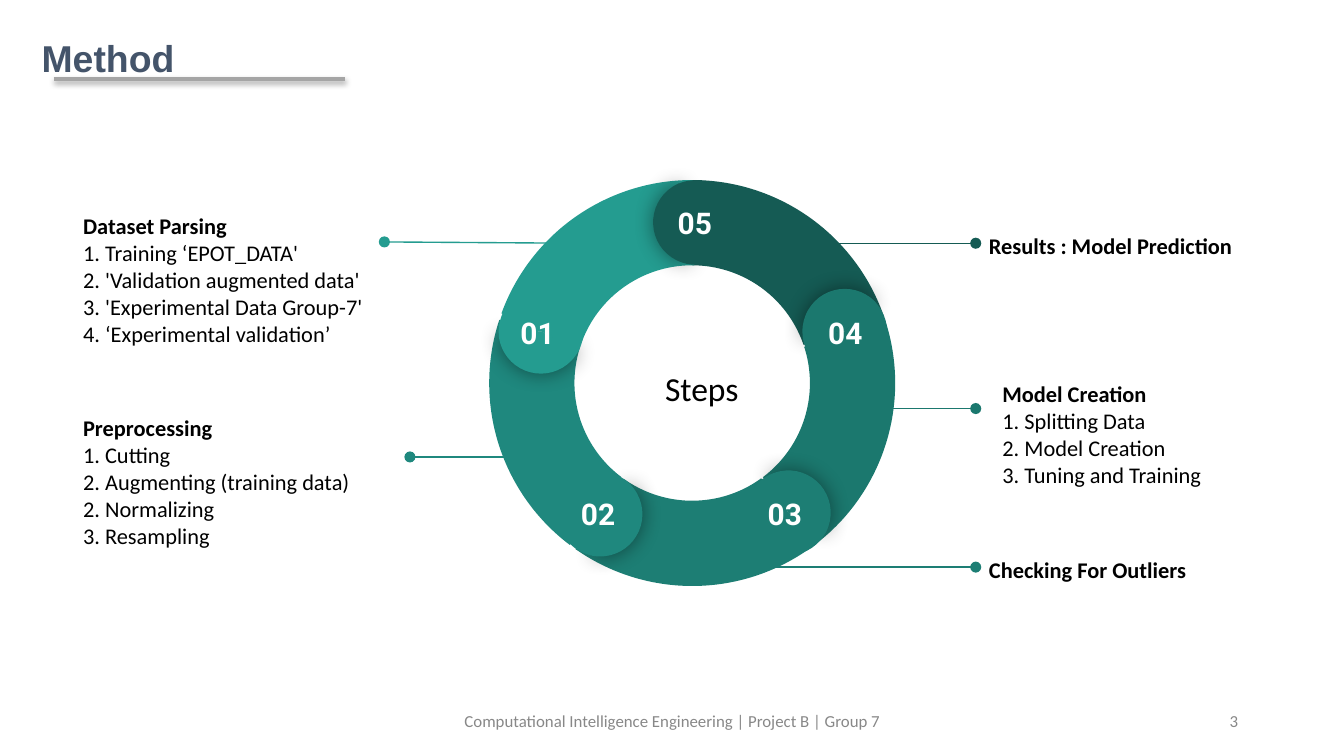
"""Build the Method slide: a ring of five steps with callouts."""
import lxml.etree
import pptx
import pptx.dml.color
import pptx.enum.shapes
import pptx.enum.text
import pptx.oxml.ns
import pptx.util

Inches = pptx.util.Inches
Pt = pptx.util.Pt
Kind = pptx.enum.shapes.MSO_SHAPE
Align = pptx.enum.text.PP_ALIGN
Anchor = pptx.enum.text.MSO_ANCHOR
qn = pptx.oxml.ns.qn

TITLE = {"name": "Arial", "size": Pt(20), "bold": True}
HEAD = {"name": "Calibri", "size": Pt(12), "bold": True}
BODY = {"name": "Calibri", "size": Pt(12), "bold": False}
FOOT = {"name": "Calibri", "size": Pt(9)}
HUB = {"name": "Calibri", "size": Pt(18)}
DIGIT = {"name": "Roboto", "size": Pt(16), "bold": True}

RING = (3.64, 1.34, 3.02)
CAP = 0.63
# number, color, arc turn, cap turn, cap place, label place
STEPS = [
    ("02", "1F887E", 277, 211.1, (4.15, 3.51), (4.17, 3.59)),
    ("04", "1B786E", 132, 67.1, (5.97, 2.15), (6.01, 2.24)),
    ("05", "155B54", 60, 357.1, (4.86, 1.34), (4.89, 1.42)),
    ("03", "1D7E74", 204, 139.1, (5.55, 3.5), (5.56, 3.59)),
    ("01", "249C90", 350, 284.1, (3.71, 2.15), (3.72, 2.24)),
]
# color, line start, line end, box, head spacing, joined, lines
NOTES = [
    ("249C90", (4.3, 1.81), (2.86, 1.8), (0.52, 1.56, 2.52, 1.01), 1.15, False,
     ["Dataset Parsing", "1. Training ‘EPOT_DATA'",
      "2. 'Validation augmented data'", "3. 'Experimental Data Group-7'",
      "4. ‘Experimental validation’"]),
    ("1F887E", (4.06, 3.4), (3.05, 3.4), (0.52, 3.08, 2.74, 1.01), 1, False,
     ["Preprocessing", "1. Cutting", "2. Augmenting (training data)",
      "2. Normalizing", "3. Resampling"]),
    ("1D7E74", (5.25, 4.22), (7.26, 4.22), (7.26, 4, 2.32, 0.44), 1.15, True,
     ["Checking For Outliers"]),
    ("155B54", (5.85, 1.81), (7.26, 1.81), (7.26, 1.49, 2.47, 0.64), 1.15, True,
     ["Results : Model Prediction"]),
    ("1B786E", (6.29, 3.04), (7.26, 3.04), (7.36, 2.71, 2.32, 1.01), 1.15, False,
     ["Model Creation", "1. Splitting Data", "2. Model Creation",
      "3. Tuning and Training"]),
]


def color(code):
    return pptx.dml.color.RGBColor.from_string(code)


def shade(shape, alpha=0, blur=0, dist=0, turn=0):
    node = lxml.etree.SubElement(shape._element.spPr, qn("a:effectLst"))
    if alpha:
        drop = lxml.etree.SubElement(
            node, qn("a:outerShdw"), blurRad=str(Pt(blur)), dist=str(Pt(dist)),
            dir=str(turn * 60000), algn="ctr", rotWithShape="0")
        tint = lxml.etree.SubElement(drop, qn("a:srgbClr"), val="000000")
        lxml.etree.SubElement(tint, qn("a:alpha"), val=str(alpha * 1000))


def text(slide, box, lines, ink, pads=(0.1, 0.1), anchor=Anchor.TOP,
         align=Align.LEFT, lead=1, wrap=True):
    shape = slide.shapes.add_textbox(*map(Inches, box))
    frame = shape.text_frame
    side, edge = map(Inches, pads)
    form = {"word_wrap": wrap, "vertical_anchor": anchor,
            "margin_left": side, "margin_right": side,
            "margin_top": edge, "margin_bottom": edge}
    for key, value in form.items():
        setattr(frame, key, value)
    for i, (words, font) in enumerate(lines):
        para = frame.add_paragraph() if i else frame.paragraphs[0]
        para.alignment = align
        para.line_spacing = 1.0 if i else lead
        run = para.add_run()
        run.text = words
        for key, value in font.items():
            setattr(run.font, key, value)
        run.font.color.rgb = color(ink)
    return shape


def line(slide, start, end, ink, width):
    link = slide.shapes.add_connector(
        pptx.enum.shapes.MSO_CONNECTOR.STRAIGHT, *map(Inches, start + end))
    link.line.color.rgb = color(ink)
    link.line.width = Pt(width)
    return link


def wedge(slide, kind, box, turn, ink, adjust, *glow):
    shape = slide.shapes.add_shape(kind, *map(Inches, box))
    shape.rotation = turn % 360
    for i, value in enumerate(adjust):
        shape.adjustments[i] = value
    shape.fill.solid()
    shape.fill.fore_color.rgb = color(ink)
    shape.line.fill.background()
    shade(shape, *glow)


def note(slide, ink, start, end, box, lead, joined, lines):
    rows = [(words, BODY if i else HEAD) for i, words in enumerate(lines)]
    shape = text(slide, box, rows, "000000", anchor=Anchor.MIDDLE, lead=lead)
    link = line(slide, start, end, ink, 0.75)
    if joined:
        link.end_connect(shape, 1)
    lxml.etree.SubElement(link.line._get_or_add_ln(), qn("a:tailEnd"), type="oval")
    shade(link)


def ring(slide):
    left, top, size = RING
    for _, ink, turn, _, _, _ in STEPS:
        wedge(slide, Kind.BLOCK_ARC, (left, top, size, size), turn, ink,
              (126.03, 168.68, 0.21))
    for _, ink, _, turn, spot, _ in STEPS:
        box = spot + (CAP, CAP)
        wedge(slide, Kind.PIE, box, turn, ink, (61.9, 149.96), 43, 11.2)
        wedge(slide, Kind.PIE, box, turn + 179.3, ink, (40.28, 171.84))
    for label, _, _, _, _, spot in STEPS:
        text(slide, spot + (0.56, 0.29), [(label, DIGIT)], "FFFFFF",
             align=Align.CENTER)


def main():
    deck = pptx.Presentation()
    deck.slide_width = Inches(10)
    deck.slide_height = deck.slide_width * 9 // 16
    slide = deck.slides.add_slide(deck.slide_layouts[6])
    text(slide, (0.31, 0.15, 9.37, 0.45), [("Method", TITLE)], "44546A",
         (0, 0), Anchor.BOTTOM, lead=0.9)
    for item in NOTES:
        note(slide, *item)
    ring(slide)
    text(slide, (4.85, 2.64, 0.76, 0.44), [("Steps", HUB)], "000000", wrap=False)
    text(slide, (3.31, 5.21, 3.38, 0.3),
         [("Computational Intelligence Engineering | Project B | Group 7", FOOT)],
         "888888", (0.1, 0.05), Anchor.MIDDLE, Align.CENTER)
    text(slide, (7.06, 5.21, 2.25, 0.3), [("3", FOOT)], "888888",
         (0.1, 0.05), Anchor.MIDDLE, Align.RIGHT)
    shade(line(slide, (0.4, 0.59), (2.57, 0.59), "A5A5A5", 2), 38, 3.1, 1.6, 90)
    deck.save("out.pptx")


if __name__ == "__main__":
    main()
